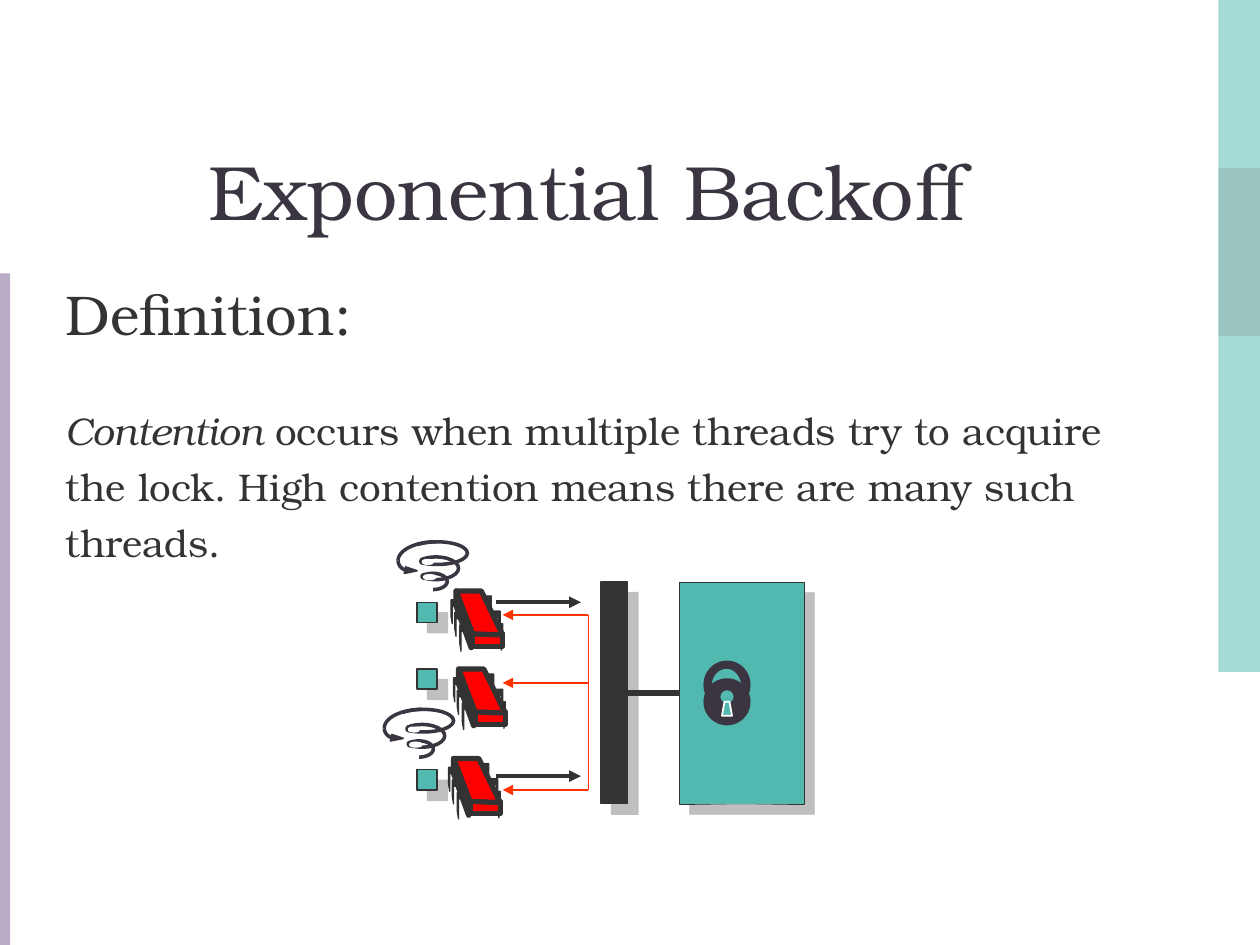
import math
from pptx import Presentation
from pptx import util as u
from pptx.dml.color import RGBColor
from pptx.enum import shapes, text
from pptx.oxml import parse_xml
from pptx.oxml.ns import nsdecls, qn
from lxml import etree

RECT, OVAL = shapes.MSO_SHAPE.RECTANGLE, shapes.MSO_SHAPE.OVAL
FONT = "TeX Gyre Bonum"
INK, DARK, TEAL, WHITE, RED, ORANGE = "3A3541", "333333", "51B9AF", "FFFFFF", "FF0000", "FF3300"


def paint(fmt, color):
    fmt.solid()
    fmt.fore_color.rgb = RGBColor.from_string(color)


def style(sp, fill, line, width):
    sp.shadow.inherit = False
    if fill:
        paint(sp.fill, fill)
    else:
        sp.fill.background()
    if line:
        paint(sp.line.fill, line)
        sp.line.width = u.Pt(width)
    else:
        sp.line.fill.background()
    return sp


def shape(parent, kind, x, y, w, h, fill=None, line=None, width=1):
    sp = parent.shapes.add_shape(kind, *map(u.Inches, (x, y, w, h)))
    return style(sp, fill, line, width)


def outline(parent, x, y, points, fill, line, width, close=True):
    pts = [(u.Inches(x + a), u.Inches(y + b)) for a, b in points]
    fb = parent.shapes.build_freeform(*pts[0])
    fb.add_line_segments(pts[1:], close=close)
    return style(fb.convert_to_shape(), fill, line, width)


def connect(s, x1, y1, x2, y2, color, width, arrow=False):
    c = s.shapes.add_connector(shapes.MSO_CONNECTOR.STRAIGHT, *map(u.Inches, (x1, y1, x2, y2)))
    paint(c.line.fill, color)
    c.line.width = u.Pt(width)
    if arrow:
        etree.SubElement(c.line._get_or_add_ln(), qn("a:tailEnd"), type="triangle")
    etree.SubElement(c._element.spPr, qn("a:effectLst"))


def drop_shadow(sp):
    effects = sp._element.spPr.find(qn("a:effectLst"))
    effects.append(parse_xml(
        f'<a:outerShdw {nsdecls("a")} blurRad="0" dist="107950" dir="2700000" algn="tl" rotWithShape="0">'
        '<a:srgbClr val="808080"><a:alpha val="50000"/></a:srgbClr></a:outerShdw>'))


def text_box(s, x, y, w, h, anchor):
    tf = s.shapes.add_textbox(*map(u.Inches, (x, y, w, h))).text_frame
    tf.word_wrap = True
    tf.vertical_anchor = anchor
    return tf


def add_run(p, words, size, color, italic=False):
    r = p.add_run()
    r.text = words
    r.font.name, r.font.size, r.font.italic = FONT, u.Pt(size), italic
    r.font.color.rgb = RGBColor.from_string(color)


def side_bands(s):
    band = 4 / 3
    for i, color in enumerate((TEAL, "398D85", TEAL, TEAL)):
        sp = shape(s, RECT, 9.67, i * band, 0.33, band, color)
        clr = sp._element.spPr.find(qn("a:solidFill"))[0]
        etree.SubElement(clr, qn("a:alpha"), val="50000")
    shape(s, RECT, 0, 2.17, 0.08, 5.33, "B8ACC6")


def title(s, x, y, w, h):
    p = text_box(s, x, y, w, h, text.MSO_ANCHOR.BOTTOM).paragraphs[0]
    p.alignment = text.PP_ALIGN.CENTER
    add_run(p, "Exponential Backoff", 44, INK)


def body(s, x, y, w, h):
    tf = text_box(s, x, y, w, h, text.MSO_ANCHOR.TOP)
    lines = [
        (8, 32, [("Definition:", False)]),
        (34.5, 22, [("Contention", True), (" occurs when multiple threads try to acquire", False)]),
        (5.5, 22, [("the lock. High contention means there are many such", False)]),
        (5.5, 22, [("threads.", False)]),
    ]
    for i, (before, size, runs) in enumerate(lines):
        p = tf.add_paragraph() if i else tf.paragraphs[0]
        p.space_before = u.Pt(before)
        pPr = p._p.get_or_add_pPr()
        pPr.set("marL", str(u.Inches(0.38)))
        pPr.set("indent", str(u.Inches(-0.38)))
        for words, italic in runs:
            add_run(p, words, size, DARK, italic)


def arc(cx, cy, rx, ry, start, end, steps=16):
    angles = [math.radians(start + (end - start) * i / steps) for i in range(steps + 1)]
    return [(cx + rx * math.cos(a), cy + ry * math.sin(a)) for a in angles]


def coil(s, x, y):
    g = s.shapes.add_group_shape()
    for dx, dy, w, h in ((0.16, 0.25, 0.23, 0.13), (0.12, 0.12, 0.36, 0.18), (0.07, 0, 0.48, 0.18)):
        shape(g, OVAL, x + dx, y + dy, w, h, None, INK, 2)
    for dx, dy in ((0, 0.18), (0.08, 0.23), (0.07, 0.29), (0.15, 0.35),
                   (0.07, 0.19), (0.06, 0.14), (0.05, 0.1), (0.04, 0.05)):
        shape(g, RECT, x + dx, y + dy, 0.11, 0.04, WHITE, WHITE, 2)
    for dx, dy, w in ((0.19, 0.26, 0.08), (0.18, 0.14, 0.07)):
        shape(g, OVAL, x + dx, y + dy, 0.04, 0.03, WHITE, INK, 2)
        shape(g, OVAL, x + dx + 0.02, y + dy + 0.01, w, 0.02, WHITE, WHITE, 2)
    outline(g, x, y, arc(0.09, 0.15, 0.09, 0.08, 90, 180), None, INK, 2, False)
    outline(g, x, y, arc(0.3, 0.15, 0.3, 0.15, 180, 270), None, INK, 2, False)
    outline(g, x, y, [(0.06, 0.2), (0.15, 0.23), (0.05, 0.25)], INK, INK, 1)


def leg(g, x, y, side, length):
    points = [(0.01, 0), (0.06, 0), (0.06, length - 0.06), (0.05, length),
              (0.05, 0.05), (0, 0.05)]
    if side == "left":
        points = [(0.06 - a, b) for a, b in points]
    outline(g, x, y, points, DARK, DARK, 0.75)


def thread(s, x, y):
    g = s.shapes.add_group_shape()
    shape(g, RECT, x + 0.17, y + 0.34, 0.24, 0.1, RED, DARK, 3)
    for dx, dy, length in ((0.35, 0.26, 0.21), (0.33, 0.16, 0.19), (0.26, 0.04, 0.19)):
        leg(g, x + dx, y + dy, "right", length)
    outline(g, x, y, [(0.41, 0.35), (0.17, 0.34), (0.04, 0), (0.24, 0)], RED, DARK, 3)
    outline(g, x, y, [(0.04, 0), (0.04, 0.12), (0.16, 0.45), (0.17, 0.35)], RED, DARK, 3)
    for dx, dy, length in ((0.07, 0.27, 0.21), (0.03, 0.17, 0.19), (0, 0.07, 0.19)):
        leg(g, x + dx, y + dy, "left", length)


def padlock(s, x, y):
    g = s.shapes.add_group_shape()
    for dx, dy, w, h, fill in ((0, 0, 0.36, 0.37, INK), (0.05, 0.05, 0.25, 0.29, TEAL),
                               (0, 0.14, 0.36, 0.36, INK), (0.12, 0.22, 0.12, 0.12, TEAL)):
        shape(g, OVAL, x + dx, y + dy, w, h, fill, INK, 1)
    outline(g, x, y, [(0.14, 0.43), (0.16, 0.32), (0.2, 0.32), (0.22, 0.43)], TEAL, WHITE, 1)


def contention_diagram(s, x, y):
    coil(s, x + 0.11, y)
    coil(s, x, y + 1.33)
    for dy in (0.48, 1.01, 1.81):
        drop_shadow(shape(s, RECT, x + 0.26, y + dy, 0.16, 0.16, TEAL, DARK, 0.75))
    drop_shadow(shape(s, RECT, x + 1.72, y + 0.32, 0.21, 1.76, DARK, DARK, 0.75))
    connect(s, x + 1.93, y + 1.2, x + 2.34, y + 1.2, DARK, 3)
    drop_shadow(shape(s, RECT, x + 2.34, y + 0.32, 0.99, 1.76, TEAL, DARK, 0.25))
    connect(s, x + 1.62, y + 1.97, x + 1.62, y + 0.58, ORANGE, 0.75)
    for dy in (0.58, 1.12, 1.97):
        connect(s, x + 1.62, y + dy, x + 0.94, y + dy, ORANGE, 0.75, True)
    for dy in (0.48, 1.86):
        connect(s, x + 0.89, y + dy, x + 1.56, y + dy, DARK, 2.25, True)
    for dx, dy in ((0.53, 0.39), (0.51, 1.72), (0.55, 1.01)):
        thread(s, x + dx, y + dy)
    padlock(s, x + 2.54, y + 0.95)


prs = Presentation()
prs.slide_width, prs.slide_height = u.Inches(10), u.Inches(7.5)
s = prs.slides.add_slide(prs.slide_layouts[6])
paint(s.background.fill, WHITE)
side_bands(s)
title(s, 0.42, 0.67, 8.5, 1.25)
body(s, 0.42, 2.17, 8.5, 4.5)
contention_diagram(s, 3.05, 4.3)
prs.save("out.pptx")
